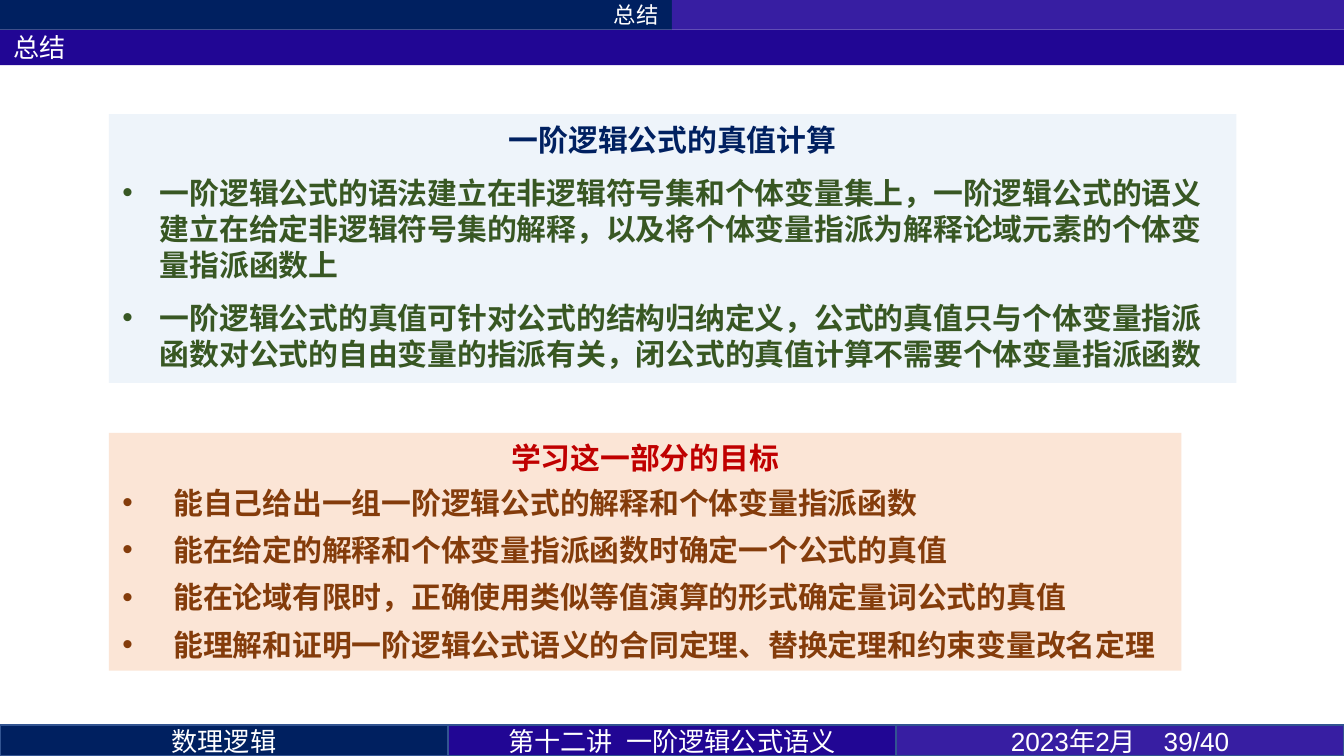
from lxml import etree
from pptx import Presentation
from pptx.dml.color import RGBColor
from pptx.enum.shapes import MSO_SHAPE
from pptx.enum.text import MSO_ANCHOR, MSO_AUTO_SIZE, PP_ALIGN
from pptx.oxml.ns import qn
from pptx.util import Inches, Pt

RECT = MSO_SHAPE.RECTANGLE
TOP, MIDDLE = MSO_ANCHOR.TOP, MSO_ANCHOR.MIDDLE
NO_FIT = MSO_AUTO_SIZE.NONE
LEFT, CENTER, RIGHT = PP_ALIGN.LEFT, PP_ALIGN.CENTER, PP_ALIGN.RIGHT

CELL = 0.1
COLS, ROWS = 100, 56.25
NAVY, INDIGO, VIOLET = "002060", "210694", "371EA2"
WHITE, EDGE = "FFFFFF", "325491"
CJK, LATIN, DIGITS = "Noto Sans CJK SC", "Calibri", "Arial"


def color(value):
    return RGBColor.from_string(value)


def cells(*counts):
    return [Inches(n * CELL) for n in counts]


def write(p, text, size=14, font=CJK, fill=WHITE, bold=False, align=LEFT,
          before=0, after=0, indent=0, tracking=0):
    p.alignment = align
    p.space_before, p.space_after = Pt(before), Pt(after)
    p.line_spacing = Pt(size * 1.21)
    pPr = p._p.get_or_add_pPr()
    pPr.set("marL", str(Inches(indent)))
    pPr.set("indent", str(-Inches(indent)))
    etree.SubElement(pPr, qn("a:buChar"), char="•") if indent else etree.SubElement(pPr, qn("a:buNone"))
    r = p.add_run()
    r.text = text
    r.font.name, r.font.size, r.font.bold = font, Pt(size), bold
    r.font.color.rgb = color(fill)
    rPr = r._r.get_or_add_rPr()
    etree.SubElement(rPr, qn("a:ea"), typeface=CJK)
    if tracking:
        rPr.set("spc", str(tracking))
    return r


class Deck:
    def __init__(self):
        self.prs = Presentation()
        self.prs.slide_width, self.prs.slide_height = cells(COLS, ROWS)
        self.s = self.prs.slides.add_slide(self.prs.slide_layouts[3])

    def dress(self, sp, box, fill, anchor, inset):
        sp.left, sp.top, sp.width, sp.height = cells(*box)
        sp.fill.solid()
        sp.fill.fore_color.rgb = color(fill)
        tf = sp.text_frame
        tf.word_wrap, tf.auto_size, tf.vertical_anchor = True, NO_FIT, anchor
        tf.margin_left = tf.margin_right = Inches(0.1)
        tf.margin_top = tf.margin_bottom = Inches(inset)
        return tf

    def bar(self, box, fill, parts=(), line=None, **fmt):
        sp = self.s.shapes.add_shape(RECT, *cells(*box))
        sp.shadow.inherit = False
        tf = self.dress(sp, box, fill, MIDDLE, 0)
        if line:
            sp.line.color.rgb, sp.line.width = color(line), Pt(1)
        else:
            sp.line.fill.background()
        for text, tracking in parts:
            write(tf.paragraphs[0], text, tracking=tracking, **fmt)

    def title(self, box, fill, text):
        tf = self.dress(self.s.shapes.title, box, fill, MIDDLE, 0)
        write(tf.paragraphs[0], text, font=LATIN)

    def panel(self, idx, box, fill, heading, items, head, body, opacity=100):
        sp = self.s.placeholders[idx]
        tf = self.dress(sp, box, fill, TOP, 0.05)
        if opacity < 100:
            clr = sp._element.spPr.find(".//" + qn("a:srgbClr"))
            etree.SubElement(clr, qn("a:alpha"), val=str(opacity * 1000))
        write(tf.paragraphs[0], heading, size=16, font=LATIN, bold=True, align=CENTER, **head)
        for item in items:
            write(tf.add_paragraph(), item, size=16, bold=True, **body)


def main():
    deck = Deck()
    half, third = COLS / 2, COLS / 3
    bar_height, footer_height = 2.2, 2.3

    deck.bar((0, 0, half, bar_height), NAVY, [("总结", 0)], size=12, align=RIGHT)
    deck.bar((half, 0, half, bar_height), VIOLET)
    deck.title((0, bar_height, COLS, 2.65), INDIGO, "总结")

    spacing = {"before": 4.5, "after": 4.5}
    deck.panel(
        1, (8.1, 8.5, 83.9, 20), "DEEBF7", "一阶逻辑公式的真值计算",
        ["一阶逻辑公式的语法建立在非逻辑符号集和个体变量集上，一阶逻辑公式的语义建立在给定非逻辑符号集的解释，以及将个体变量指派为解释论域元素的个体变量指派函数上",
         "一阶逻辑公式的真值可针对公式的结构归纳定义，公式的真值只与个体变量指派函数对公式的自由变量的指派有关，闭公式的真值计算不需要个体变量指派函数"],
        {"fill": NAVY, **spacing}, {"fill": "385723", "indent": 0.28, **spacing}, opacity=50)
    deck.panel(
        2, (8.1, 32.2, 79.8, 17.7), "FBE5D6", "学习这一部分的目标",
        ["能自己给出一组一阶逻辑公式的解释和个体变量指派函数",
         "能在给定的解释和个体变量指派函数时确定一个公式的真值",
         "能在论域有限时，正确使用类似等值演算的形式确定量词公式的真值",
         "能理解和证明一阶逻辑公式语义的合同定理、替换定理和约束变量改名定理"],
        {"fill": "C00000", "after": 4.5}, {"fill": "843C0B", "indent": 0.38, "after": 6})

    footers = [
        (NAVY, CJK, [("数理逻辑", 0)]),
        (INDIGO, CJK, [("第十二讲", 0), (" ", 390), ("一阶逻辑公式语义", 0)]),
        (VIOLET, DIGITS, [("2023年2月", 0), (" ", 1170), ("39/40", 0)]),
    ]
    for i, (fill, font, parts) in enumerate(footers):
        box = (i * third, ROWS - footer_height, third, footer_height)
        deck.bar(box, fill, parts, line=EDGE, font=font, align=CENTER)

    deck.prs.save("out.pptx")


if __name__ == "__main__":
    main()
